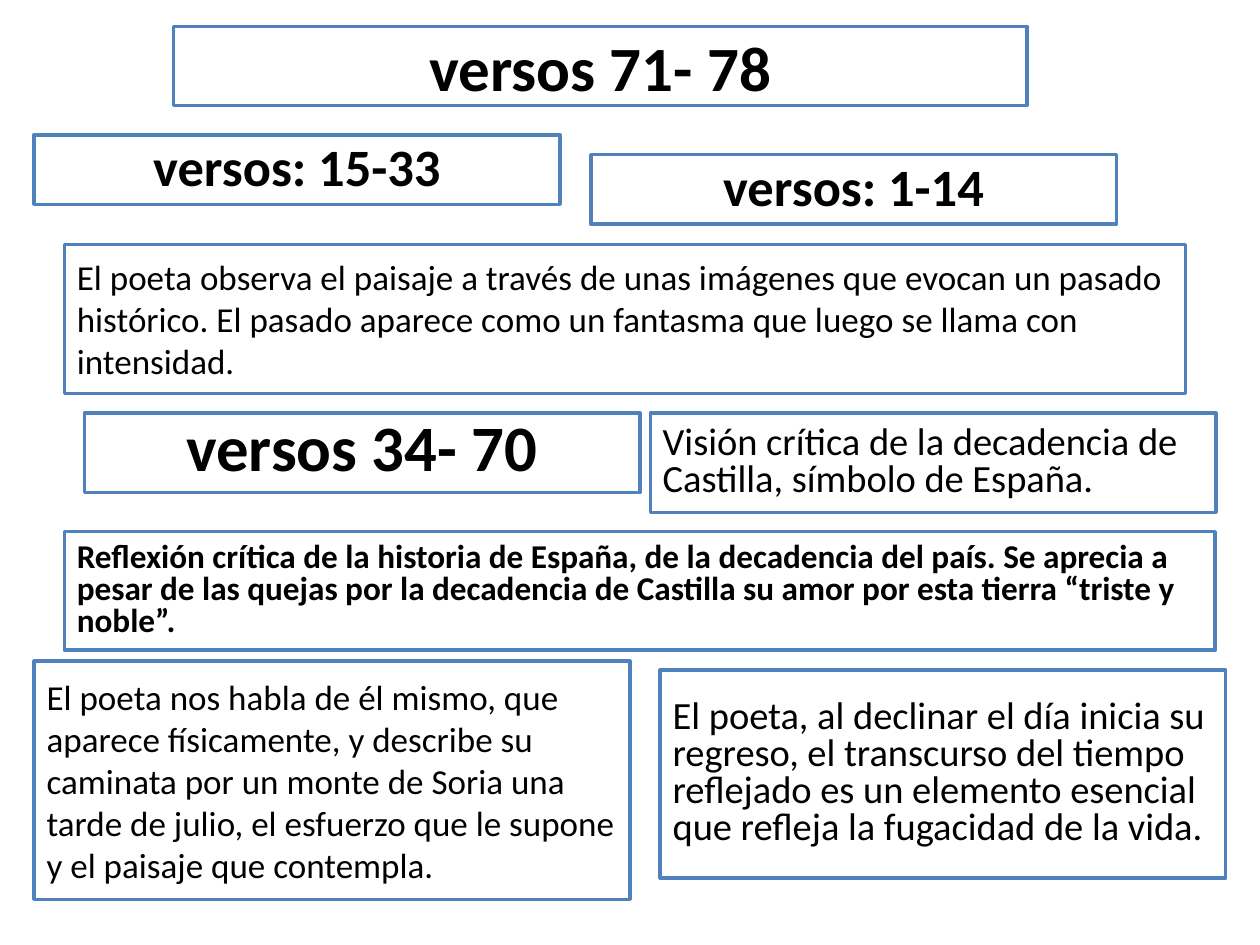
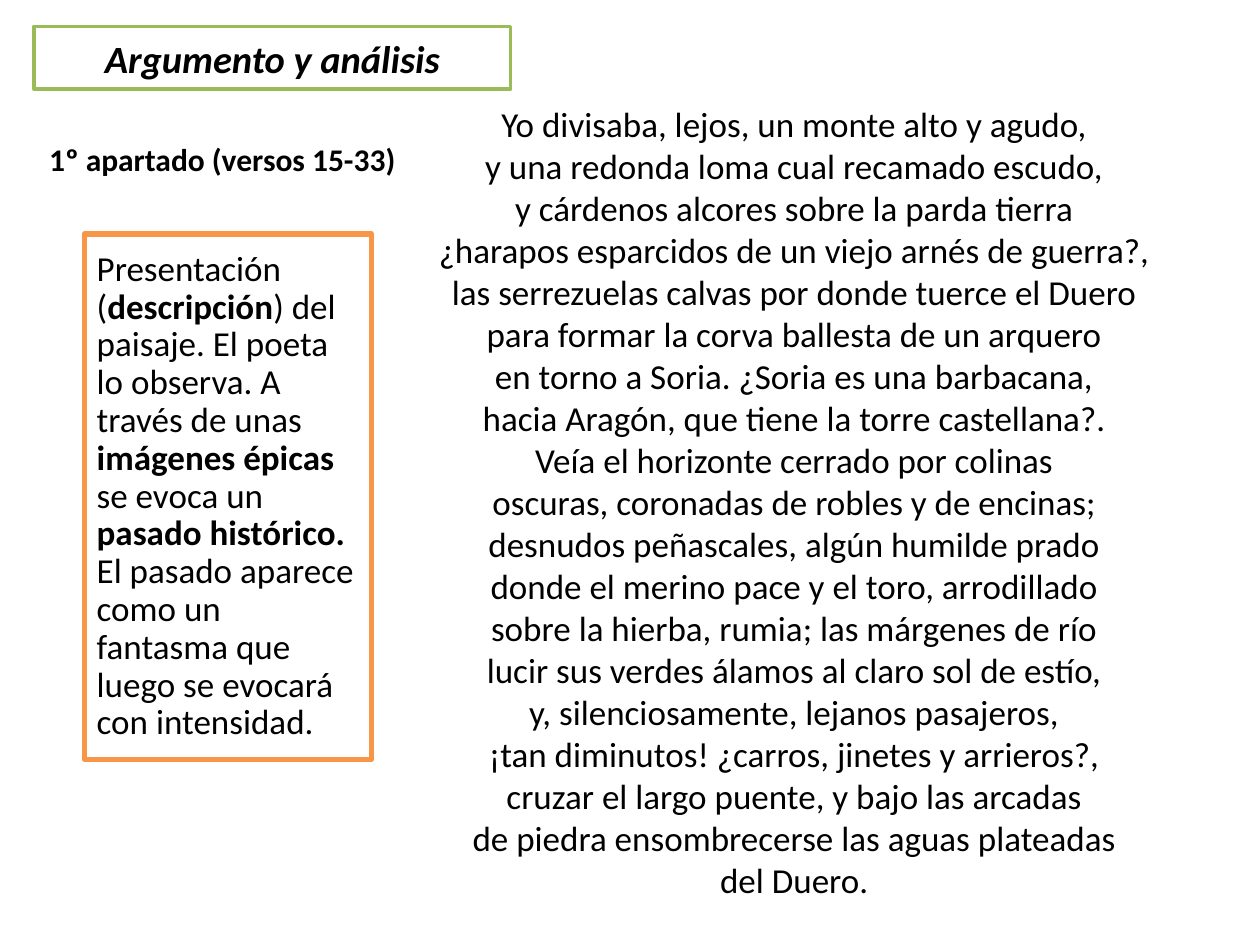
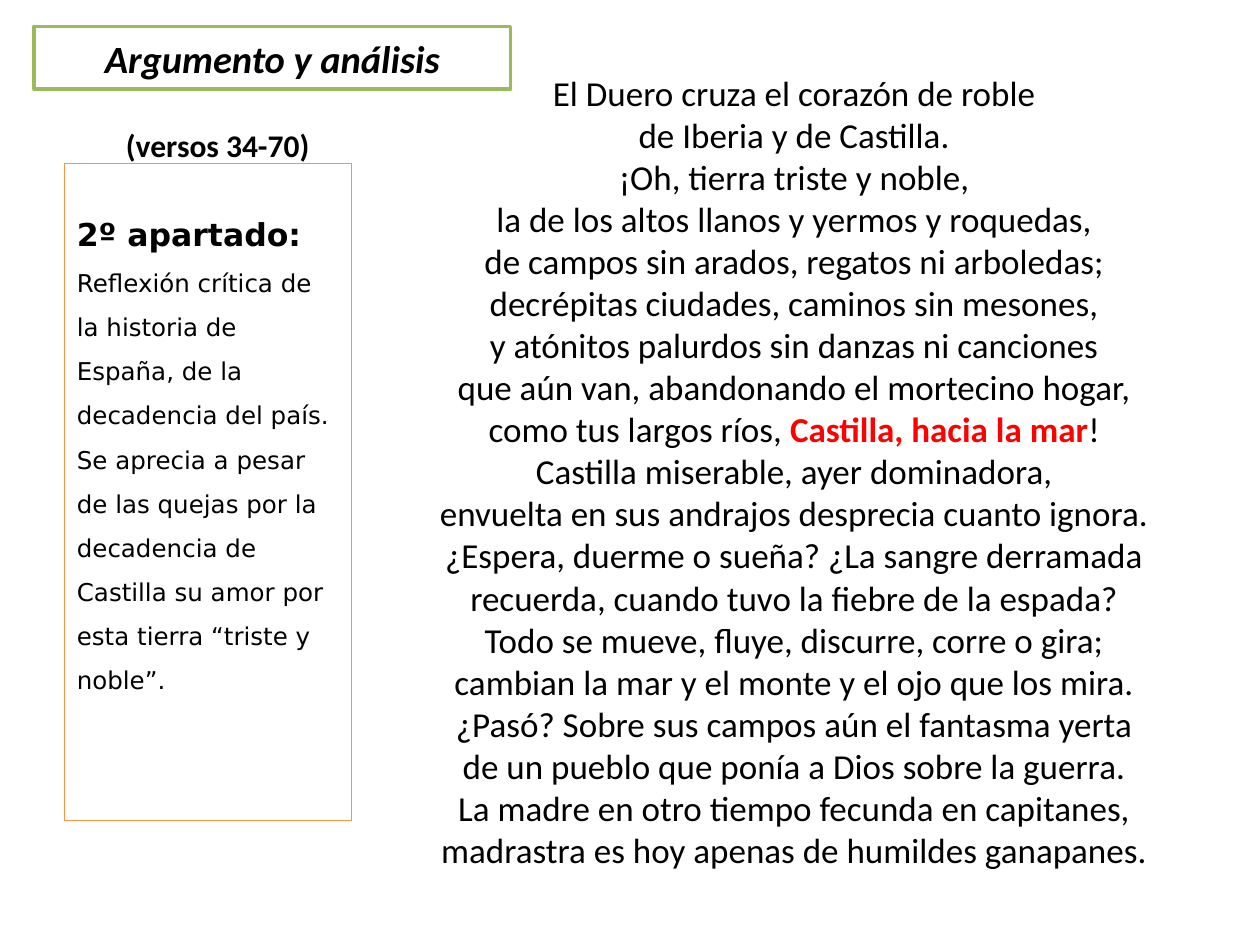
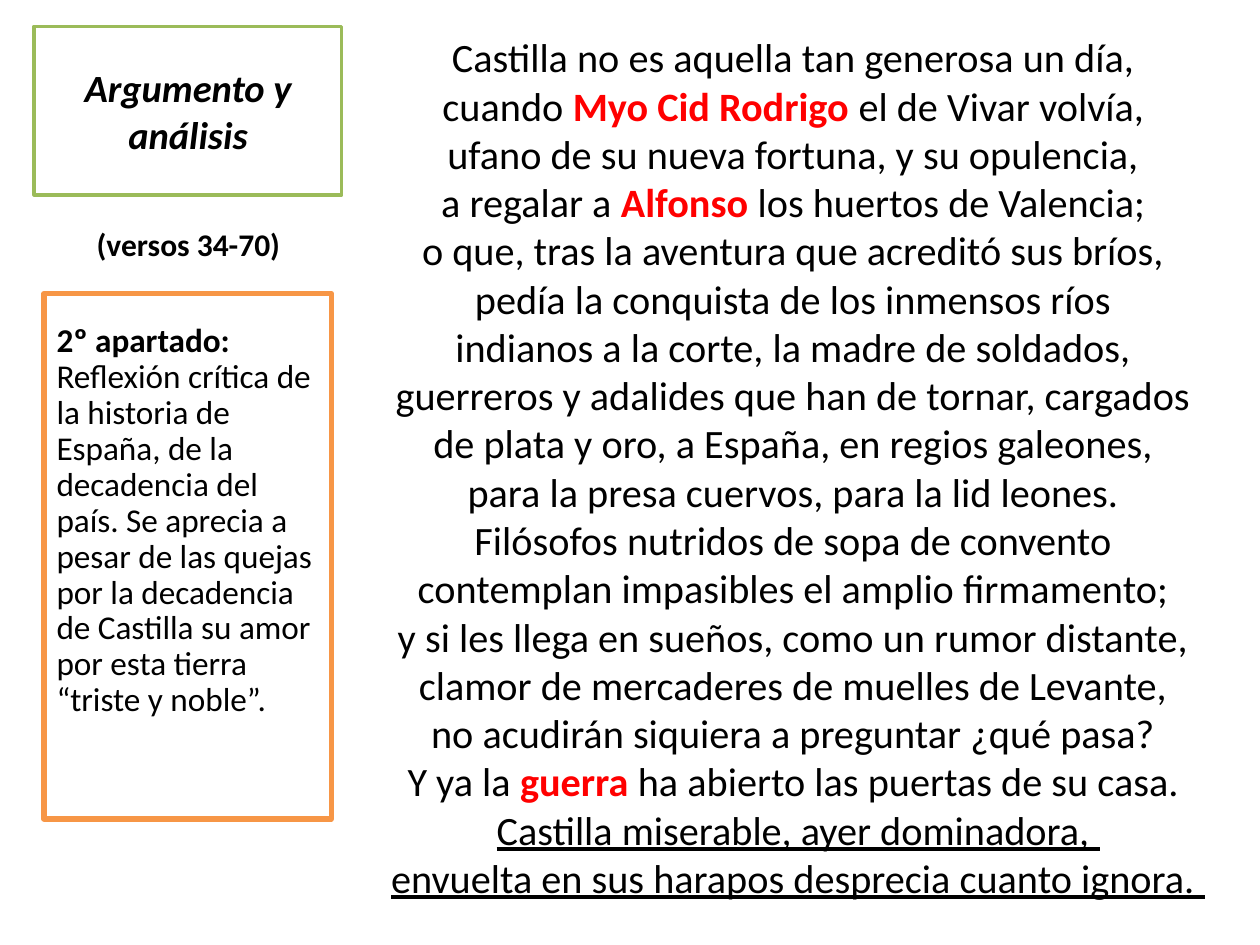
from dataclasses import dataclass

from pptx import Presentation
from pptx import util as u
from pptx.dml.color import RGBColor
from pptx.enum import shapes, text


# Theme: colours, fonts, type sizes and line widths
@dataclass(frozen=True)
class Theme:
    ink: str = "000000"
    paper: str = "FFFFFF"
    accent: str = "FF0000"
    blue: str = "4F81BD"
    green: str = "9BBB59"
    orange: str = "F79646"
    font: str = "Calibri"
    panel_font: str = "DejaVu Sans"
    main_title: int = 36
    large_label: int = 37
    label: int = 30
    large_verse: int = 23
    title: int = 22
    note: int = 22
    body: int = 20
    summary: int = 19
    caption: int = 18
    small: int = 14
    frame_line: float = 2
    panel_line: float = 3
    hairline: float = 0.25


THEME = Theme()


@dataclass(frozen=True)
class Box:
    """Position and size in centimetres."""
    left: float
    top: float
    width: float
    height: float

    def lengths(self):
        return [u.Cm(side) for side in (self.left, self.top, self.width, self.height)]


@dataclass(frozen=True)
class Style:
    size: int
    bold: bool = False
    italic: bool = False
    centred: bool = False
    spacing: float = 1
    font: str = THEME.font
    mark: str = THEME.ink  # colour of the words between asterisks


# Shared text and geometry
HEADING = "Argumento y análisis"
REFLECTION = (
    "Reflexión crítica de la historia de España, de la decadencia del país. "
    "Se aprecia a pesar de las quejas por la decadencia de Castilla su amor "
    "por esta tierra “triste y noble”."
)
WIDE_TITLE = Box(0.69, 0.53, 9.6, 1.27)
POEM_LEFT, POEM_WIDTH, POEM_BOTTOM = 7.29, 17.6, 18.34
CAPTION_HEIGHT = 1.02
PANEL_WIDTH = 5.79
RAISED = 1.53  # bottom inset that lifts the text of a panel


# Text helpers
def add_runs(paragraph, line, style):
    """Write one line; *words* are marked, a leading _ underlines the line."""
    underlined = line.startswith("_")
    for index, part in enumerate(line.lstrip("_").split("*")):
        if not part:
            continue
        marked = index % 2 == 1
        run = paragraph.add_run()
        run.text = part
        run.font.name = style.font
        run.font.size = u.Pt(style.size)
        run.font.bold = style.bold or marked
        run.font.italic = style.italic
        if underlined:
            run.font.underline = True
        colour = style.mark if marked else THEME.ink
        run.font.color.rgb = RGBColor.from_string(colour)


def format_paragraph(paragraph, style):
    centre, left = text.PP_ALIGN.CENTER, text.PP_ALIGN.LEFT
    paragraph.alignment = centre if style.centred else left
    paragraph.line_spacing = style.spacing
    paragraph.space_before = u.Pt(0)


def write(shape, paragraphs, anchor=text.MSO_ANCHOR.MIDDLE):
    """Fill a shape with (line, style) pairs, one paragraph each."""
    frame = shape.text_frame
    frame.word_wrap = True
    frame.auto_size = text.MSO_AUTO_SIZE.NONE
    frame.vertical_anchor = anchor
    for index, (line, style) in enumerate(paragraphs):
        paragraph = frame.add_paragraph() if index else frame.paragraphs[0]
        format_paragraph(paragraph, style)
        add_runs(paragraph, line, style)


# Shape helpers
def place(shape, box):
    shape.left, shape.top, shape.width, shape.height = box.lengths()


def paint(shape, line_colour, line_width):
    shape.fill.solid()
    shape.fill.fore_color.rgb = RGBColor.from_string(THEME.paper)
    shape.line.color.rgb = RGBColor.from_string(line_colour)
    shape.line.width = u.Pt(line_width)


def add_frame(slide, box, paragraphs, colour=THEME.blue, width=THEME.frame_line):
    shape = slide.shapes.add_shape(shapes.MSO_SHAPE.RECTANGLE, *box.lengths())
    shape.shadow.inherit = False
    paint(shape, colour, width)
    write(shape, paragraphs)
    return shape


def set_title(slide, box, words, style, colour):
    title = slide.shapes.title
    place(title, box)
    paint(title, colour, THEME.frame_line)
    write(title, [(words, style)])
    return title


# Regions of the verse slides
def set_poem(slide, top, verses, size):
    poem = slide.placeholders[1]
    place(poem, Box(POEM_LEFT, top, POEM_WIDTH, POEM_BOTTOM - top))
    poem.fill.solid()
    poem.fill.fore_color.rgb = RGBColor.from_string(THEME.paper)
    style = Style(size, centred=True, mark=THEME.accent)
    write(poem, [(verses[0] + " ", style)], text.MSO_ANCHOR.TOP)
    paragraph = poem.text_frame.paragraphs[0]
    for verse in verses[1:]:
        paragraph.add_line_break()
        add_runs(paragraph, verse + " ", style)
    return poem


def add_caption(slide, left, top, width, words):
    box = Box(left, top, width, CAPTION_HEIGHT)
    caption = slide.shapes.add_textbox(*box.lengths())
    write(caption, [(words, Style(THEME.caption, bold=True))], text.MSO_ANCHOR.TOP)


def add_panel(slide, left, top, height, paragraphs, width=THEME.panel_line, raised=False):
    box = Box(left, top, PANEL_WIDTH, height)
    panel = add_frame(slide, box, paragraphs, THEME.orange, width)
    if raised:
        panel.text_frame.margin_bottom = u.Cm(RAISED)


def add_verse_slide(presentation, title_box, poem_top, verses, size=THEME.body):
    slide = presentation.slides.add_slide(presentation.slide_layouts[0])
    poem = set_poem(slide, poem_top, verses, size)
    style = Style(THEME.title, bold=True, italic=True, centred=True)
    title = set_title(slide, title_box, HEADING, style, THEME.green)
    poem.element.addnext(title.element)  # the title stays above the poem
    return slide


# Slide 1: overview of the sections
def add_overview(presentation):
    slide = presentation.slides.add_slide(presentation.slide_layouts[5])
    title_style = Style(THEME.main_title, bold=True, centred=True)
    set_title(slide, Box(3.5, 0.53, 17.2, 1.6), "versos 71- 78", title_style, THEME.blue)

    large = Style(THEME.large_label, bold=True, centred=True, spacing=0.8)
    label = Style(THEME.label, bold=True, centred=True, spacing=0.9)
    body = Style(THEME.body)
    summary = Style(THEME.summary, bold=True, spacing=0.8)
    note = Style(THEME.note, spacing=0.8)
    frames = [
        (Box(1.7, 8.33, 11.2, 1.6), large, ["versos 34- 70"]),
        (Box(11.91, 3.12, 10.6, 1.4), label, ["versos: 1-14"]),
        (Box(0.69, 13.33, 12.01, 4.8), body, [
            "El poeta nos habla de él mismo, que aparece físicamente, y describe su "
            "caminata por un monte de Soria una tarde de julio, el esfuerzo que le "
            "supone y el paisaje que contempla."]),
        (Box(1.3, 4.93, 22.6, 3), body, [
            "El poeta observa el paisaje a través de unas imágenes que evocan un pasado",
            "histórico. El pasado aparece como un fantasma que luego se llama con",
            "intensidad."]),
        (Box(1.3, 10.72, 23.2, 2.39), summary, [
            "Reflexión crítica de la historia de España, de la decadencia del país. "
            "Se aprecia a",
            "pesar de las quejas por la decadencia de Castilla su amor por esta tierra "
            "“triste y",
            "noble”."]),
        (Box(13.11, 8.33, 11.4, 2), note, [
            "Visión crítica de la decadencia de Castilla, símbolo de España."]),
        (Box(0.69, 2.72, 10.6, 1.4), label, ["versos: 15-33"]),
        (Box(13.31, 13.51, 11.4, 4.19), note, [
            "El poeta, al declinar el día inicia su regreso, el transcurso del tiempo "
            "reflejado es un elemento esencial que refleja la fugacidad de la vida."]),
    ]
    for box, style, lines in frames:
        add_frame(slide, box, [(line, style) for line in lines])


# Slide 2: first section
LANDSCAPE = [
    "Yo divisaba, lejos, un monte alto y agudo,",
    "y una redonda loma cual recamado escudo,",
    "y cárdenos alcores sobre la parda tierra",
    "¿harapos esparcidos de un viejo arnés de guerra?,",
    "las serrezuelas calvas por donde tuerce el Duero",
    "para formar la corva ballesta de un arquero",
    "en torno a Soria. ¿Soria es una barbacana,",
    "hacia Aragón, que tiene la torre castellana?.",
    "Veía el horizonte cerrado por colinas",
    "oscuras, coronadas de robles y de encinas;",
    "desnudos peñascales, algún humilde prado",
    "donde el merino pace y el toro, arrodillado",
    "sobre la hierba, rumia; las márgenes de río",
    "lucir sus verdes álamos al claro sol de estío,",
    "y, silenciosamente, lejanos pasajeros,",
    "¡tan diminutos! ¿carros, jinetes y arrieros?,",
    "cruzar el largo puente, y bajo las arcadas",
    "de piedra ensombrecerse las aguas plateadas",
    "del Duero.",
]


def add_landscape(presentation):
    slide = add_verse_slide(presentation, WIDE_TITLE, 1.93, LANDSCAPE)
    add_caption(slide, 0.74, 2.69, 7.65, "1º apartado (versos 15-33)")
    description = (
        "Presentación (*descripción*) del paisaje. El poeta lo observa. A través de "
        "unas *imágenes épicas* se evoca un *pasado histórico.* El pasado aparece "
        "como un fantasma que luego se evocará con intensidad."
    )
    add_panel(slide, 1.7, 4.72, 10.59, [(description, Style(THEME.body, spacing=0.9))])


# Slide 3: second section, the land
LAND = [
    "El Duero cruza el corazón de roble",
    "de Iberia y de Castilla.",
    "¡Oh, tierra triste y noble,",
    "la de los altos llanos y yermos y roquedas,",
    "de campos sin arados, regatos ni arboledas;",
    "decrépitas ciudades, caminos sin mesones,",
    "y atónitos palurdos sin danzas ni canciones",
    "que aún van, abandonando el mortecino hogar,",
    "como tus largos ríos, *Castilla, hacia la mar*!",
    "Castilla miserable, ayer dominadora,",
    "envuelta en sus andrajos desprecia cuanto ignora.",
    "¿Espera, duerme o sueña? ¿La sangre derramada",
    "recuerda, cuando tuvo la fiebre de la espada?",
    "Todo se mueve, fluye, discurre, corre o gira;",
    "cambian la mar y el monte y el ojo que los mira.",
    "¿Pasó? Sobre sus campos aún el fantasma yerta",
    "de un pueblo que ponía a Dios sobre la guerra.",
    "La madre en otro tiempo fecunda en capitanes,",
    "madrastra es hoy apenas de humildes ganapanes.",
]


def add_land(presentation):
    slide = add_verse_slide(presentation, WIDE_TITLE, 1.32, LAND)
    add_caption(slide, 2.29, 2.41, 4.39, "(versos 34-70)")
    heading = Style(THEME.caption, bold=True, spacing=0.9, font=THEME.panel_font)
    detail = Style(THEME.small, spacing=1.5, font=THEME.panel_font)
    paragraphs = [("2º apartado:", heading), (REFLECTION, detail)]
    add_panel(slide, 1.3, 3.3, 13.23, paragraphs, THEME.hairline, raised=True)


# Slide 4: second section, past and present
PAST = [
    "Castilla no es aquella tan generosa un día,",
    "cuando *Myo Cid Rodrigo* el de Vivar volvía,",
    "ufano de su nueva fortuna, y su opulencia,",
    "a regalar a *Alfonso* los huertos de Valencia;",
    "o que, tras la aventura que acreditó sus bríos,",
    "pedía la conquista de los inmensos ríos",
    "indianos a la corte, la madre de soldados,",
    "guerreros y adalides que han de tornar, cargados",
    "de plata y oro, a España, en regios galeones,",
    "para la presa cuervos, para la lid leones.",
    "Filósofos nutridos de sopa de convento",
    "contemplan impasibles el amplio firmamento;",
    "y si les llega en sueños, como un rumor distante,",
    "clamor de mercaderes de muelles de Levante,",
    "no acudirán siquiera a preguntar ¿qué pasa?",
    "Y ya la *guerra* ha abierto las puertas de su casa.",
    "_Castilla miserable, ayer dominadora,",
    "_envuelta en sus harapos desprecia cuanto ignora.",
]


def add_past(presentation):
    title_box = Box(0.69, 0.53, 6.2, 3.4)
    slide = add_verse_slide(presentation, title_box, 0.53, PAST, THEME.large_verse)
    add_caption(slide, 1.7, 4.42, 4.39, "(versos 34-70)")
    style = Style(THEME.summary, spacing=0.9)
    paragraphs = [("*2º apartado: *" + REFLECTION, style)]
    add_panel(slide, 0.89, 5.92, 10.59, paragraphs, raised=True)


def main():
    presentation = Presentation()
    presentation.slide_width = u.Cm(25.4)
    presentation.slide_height = u.Cm(19.05)
    for add_slide in (add_overview, add_landscape, add_land, add_past):
        add_slide(presentation)
    presentation.save("out.pptx")


if __name__ == "__main__":
    main()
